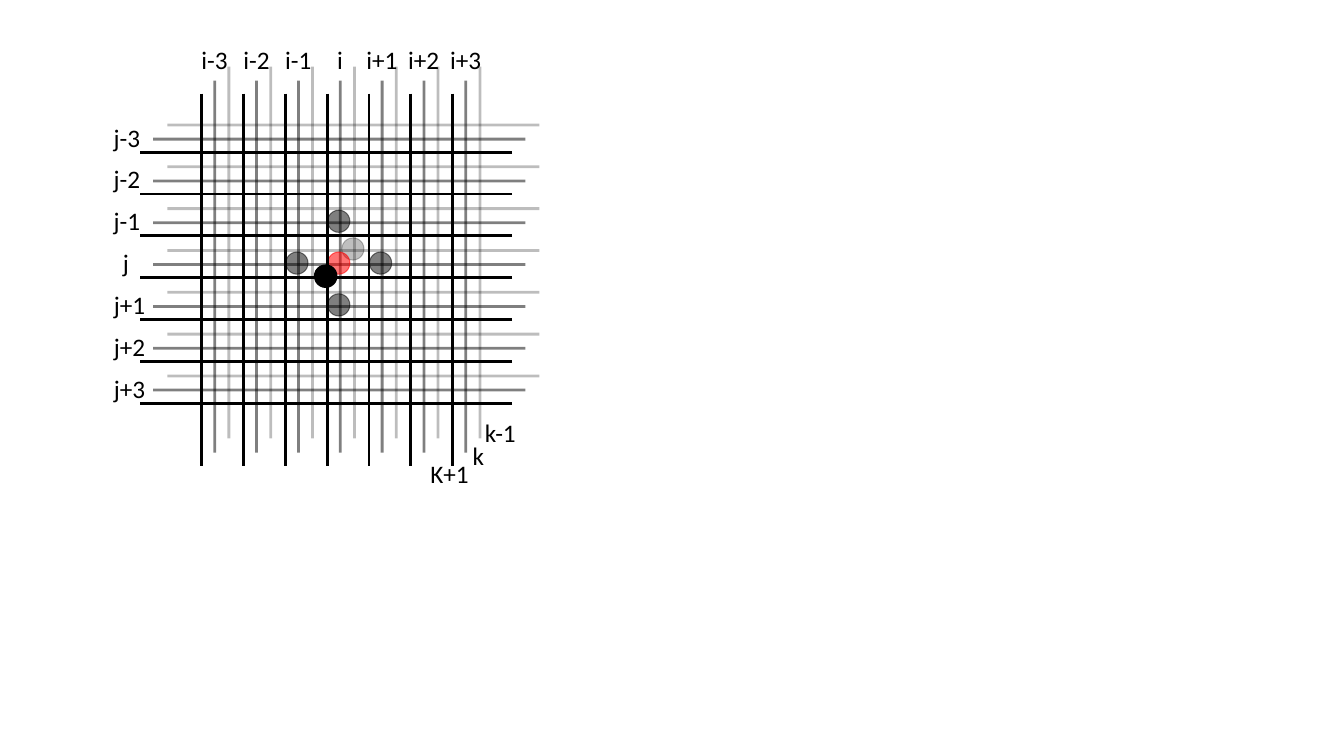
from dataclasses import dataclass

from lxml import etree
from pptx import Presentation
from pptx.dml.color import RGBColor
from pptx.enum.shapes import MSO_CONNECTOR, MSO_SHAPE
from pptx.enum.text import MSO_AUTO_SIZE
from pptx.oxml.ns import qn
from pptx.util import Inches, Pt

STRAIGHT = MSO_CONNECTOR.STRAIGHT
OVAL = MSO_SHAPE.OVAL
FIT_SHAPE = MSO_AUTO_SIZE.SHAPE_TO_FIT_TEXT
NO_RESIZE = MSO_AUTO_SIZE.NONE

COUNT = 7
PITCH = 0.415
LENGTH = 3.69
ROW_LEFT, ROW_TOP = -0.61, 0.58
CENTRE_X, CENTRE_Y = 1.23, 1.81
BACK, MIDDLE, FRONT = (2.27, 0.66), (2.13, 0.8), (2, 0.93)
LABEL_WIDTHS = {"-": 0.46, "": 0.26, "+": 0.51}
LAYER_LABELS = [("k", 4.59, 4.32, 0.32), ("k-1", 4.71, 4.09, 0.52), ("K+1", 4.17, 4.5, 0.59)]
NEIGHBOURS = [(0, -1), (1, 0), (-1, 0), (0, 1)]


@dataclass
class Theme:
    black: str = "000000"
    red: str = "FF0000"
    font: str = "Calibri"
    text_size: float = 18
    line_width: float = 2
    dot_size: float = 0.22


class Diagram:
    """Draws grid layers, points and labels on one slide."""

    def __init__(self, page, theme):
        self.page = page
        self.theme = theme
        self.shapes = page.shapes

    def start_group(self):
        self.shapes = self.page.shapes.add_group_shape().shapes

    def end_group(self):
        self.shapes = self.page.shapes

    def paint(self, fill, colour, opacity):
        fill.solid()
        fill.fore_color.rgb = RGBColor.from_string(colour)
        if opacity < 100:
            for tint in fill._xPr.find(qn("a:solidFill")):
                etree.SubElement(tint, qn("a:alpha"), val=str(opacity * 1000))

    def line(self, x1, y1, x2, y2, opacity):
        line = self.shapes.add_connector(STRAIGHT, Inches(x1), Inches(y1), Inches(x2), Inches(y2))
        line.line.width = Pt(self.theme.line_width)
        self.paint(line.line.fill, self.theme.black, opacity)
        etree.SubElement(line._element.spPr, qn("a:effectLst"))

    def grid(self, origin, opacity):
        x, y = origin
        left, top = x + ROW_LEFT, y + ROW_TOP
        for index in range(COUNT):
            column = x + index * PITCH
            self.line(column, y, column, y + LENGTH, opacity)
        for index in range(COUNT):
            row = top + index * PITCH
            self.line(left + LENGTH, row, left, row, opacity)

    def dot(self, origin, colour, opacity, step=(0, 0), outline=0):
        size = self.theme.dot_size
        left = origin[0] + CENTRE_X + step[0] * PITCH - size / 2
        top = origin[1] + CENTRE_Y + step[1] * PITCH - size / 2
        dot = self.shapes.add_shape(OVAL, Inches(left), Inches(top), Inches(size), Inches(size))
        dot.shadow.inherit = False
        self.paint(dot.fill, colour, opacity)
        dot.line.width = Pt(outline)
        self.paint(dot.line.fill, colour, opacity)

    def label(self, text, left, top, width):
        box = self.shapes.add_textbox(Inches(left), Inches(top), Inches(width), Inches(0.4))
        frame = box.text_frame
        frame.text = text
        frame.word_wrap = False
        frame.auto_size = FIT_SHAPE
        span = frame.paragraphs[0].runs[0]
        span.font.name = self.theme.font
        span.font.size = Pt(self.theme.text_size)
        span.font.color.rgb = RGBColor.from_string(self.theme.black)

    def index_labels(self):
        for index in range(COUNT):
            offset = index - COUNT // 2
            sign = "-" if offset < 0 else "+" if offset else ""
            suffix = f"{offset:+d}" if offset else ""
            width = LABEL_WIDTHS[sign]
            centre = MIDDLE[0] + index * PITCH
            self.label("i" + suffix, centre - width / 2, 0.39, width)
            self.label("j" + suffix, 1.03 if offset else 1.12, 1.16 + index * PITCH, width)


def main():
    deck = Presentation()
    deck.slide_width, deck.slide_height = Inches(13.33), Inches(7.5)
    theme = Theme()
    diagram = Diagram(deck.slides.add_slide(deck.slide_layouts[6]), theme)

    diagram.start_group()
    diagram.grid(BACK, 25)
    diagram.dot(BACK, theme.black, 25)
    diagram.end_group()
    for layer_label in LAYER_LABELS:
        diagram.label(*layer_label)

    diagram.start_group()
    diagram.grid(MIDDLE, 50)
    diagram.dot(MIDDLE, theme.red, 55)
    for step in NEIGHBOURS:
        diagram.dot(MIDDLE, theme.black, 50, step)
    diagram.index_labels()

    diagram.start_group()
    diagram.grid(FRONT, 100)
    diagram.dot(FRONT, theme.black, 100, outline=1)
    deck.save("out.pptx")


if __name__ == "__main__":
    main()
